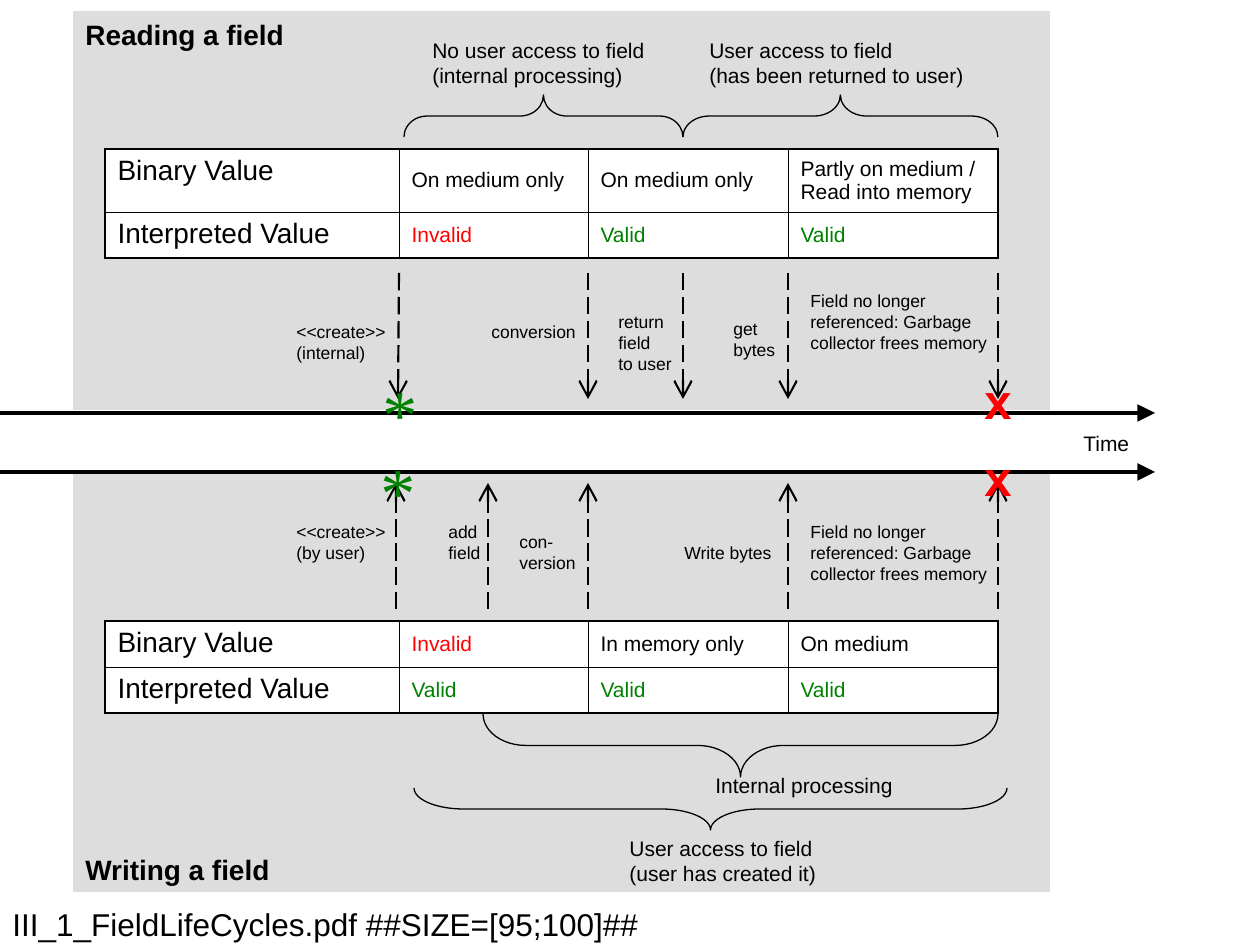
from lxml.etree import SubElement
from pptx import Presentation
from pptx.dml.color import RGBColor
from pptx.enum.dml import MSO_LINE
from pptx.enum.shapes import MSO_CONNECTOR, MSO_SHAPE
from pptx.enum.text import MSO_ANCHOR, PP_ALIGN
from pptx.oxml.ns import qn
from pptx.util import Pt

PX = 914400 / 126
BLACK = RGBColor(0x00, 0x00, 0x00)
WHITE = RGBColor(0xFF, 0xFF, 0xFF)
GREY = RGBColor(0xDD, 0xDD, 0xDD)
RED = RGBColor(0xFF, 0x00, 0x00)
GREEN = RGBColor(0x00, 0x80, 0x00)
STATE_COLORS = {"Invalid": RED, "Valid": GREEN}


def write(frame, text, size, color=BLACK, name="Arial", bold=False):
    paragraph = frame.paragraphs[0]
    paragraph.text = text
    paragraph.alignment = PP_ALIGN.LEFT
    for attribute, value in {"size": Pt(size), "name": name, "bold": bold}.items():
        setattr(paragraph.font, attribute, value)
    paragraph.font.color.rgb = color


def draw_arrow(x1, y1, x2, y2, weight, head, dash=None):
    ends = [round(v * PX) for v in (x1, y1, x2, y2)]
    arrow = slide.shapes.add_connector(MSO_CONNECTOR.STRAIGHT, *ends)
    arrow.line.color.rgb = BLACK
    arrow.line.width = Pt(weight)
    if dash:
        arrow.line.dash_style = dash
    properties = arrow._element.spPr
    SubElement(properties.find(qn("a:ln")), qn("a:tailEnd"),
               type=head, w="lg", len="lg")
    SubElement(properties, qn("a:effectLst"))


deck = Presentation()
deck.slide_width, deck.slide_height = round(1260 * PX), round(945 * PX)
slide = deck.slides.add_slide(deck.slide_layouts[6])

# Grey panels
for heading, top, height, anchor in (
    ("Writing a field", 473, 419, MSO_ANCHOR.BOTTOM),
    ("Reading a field", 11, 399, MSO_ANCHOR.TOP),
):
    box = [round(v * PX) for v in (73, top, 977, height)]
    panel = slide.shapes.add_shape(MSO_SHAPE.RECTANGLE, *box)
    panel.shadow.inherit = False
    panel.fill.solid()
    panel.fill.fore_color.rgb = GREY
    panel.line.fill.background()
    panel.text_frame.vertical_anchor = anchor
    write(panel.text_frame, heading, 16, bold=True)

# Value tables
COLUMNS = (294, 189, 200, 210)
for top, heights, rows in (
    (149, (63, 46), (
        ("Binary Value", "On medium only", "On medium only",
         "Partly on medium /\nRead into memory"),
        ("Interpreted Value", "Invalid", "Valid", "Valid"),
    )),
    (621, (46, 46), (
        ("Binary Value", "Invalid", "In memory only", "On medium"),
        ("Interpreted Value", "Valid", "Valid", "Valid"),
    )),
):
    box = [round(v * PX) for v in (105, top, sum(COLUMNS), sum(heights))]
    values = slide.shapes.add_table(len(rows), len(COLUMNS), *box).table
    values.first_row = values.horz_banding = False
    for column, width in zip(values.columns, COLUMNS):
        column.width = round(width * PX)
    for r, (row, height) in enumerate(zip(rows, heights)):
        values.rows[r].height = round(height * PX)
        for c, text in enumerate(row):
            cell = values.cell(r, c)
            outer_edges = {"a:lnL": c == 0, "a:lnR": c == len(row) - 1,
                           "a:lnT": r == 0, "a:lnB": r == len(rows) - 1}
            for tag, outer in outer_edges.items():
                border = SubElement(cell._tc.get_or_add_tcPr(), qn(tag),
                                    w=str(Pt(1.08 if outer else 0.45)))
                ink = SubElement(border, qn("a:solidFill"))
                SubElement(ink, qn("a:srgbClr"), val=str(BLACK))
            cell.fill.solid()
            cell.fill.fore_color.rgb = WHITE
            cell.vertical_anchor = MSO_ANCHOR.MIDDLE if c else MSO_ANCHOR.TOP
            write(cell.text_frame, text, 12 if c else 16,
                  STATE_COLORS.get(text, BLACK))

# Events pointing at the time axes
for start, end, event_xs in (
    (273, 399, ((399, 398), (588, 588), (683, 683), (788, 788), (998, 998))),
    (609, 483, ((396, 396), (488, 488), (588, 588), (788, 788), (998, 998))),
):
    for x1, x2 in event_xs:
        draw_arrow(x1, start, x2, end, 1.25, "arrow", MSO_LINE.LONG_DASH)
for y in (413, 472):
    draw_arrow(0, y, 1155, y, 2, "triangle")

# Braces, given by the area they cover once turned
for left, top, width, height, rotation in (
    (404, 95, 279, 42, 270),
    (683, 95, 315, 42, 270),
    (414, 788, 593, 42, 90),
    (483, 714, 515, 63, 90),
):
    offset = (width - height) / 2
    box = [round(v * PX) for v in (left + offset, top - offset, height, width)]
    brace = slide.shapes.add_shape(MSO_SHAPE.RIGHT_BRACE, *box)
    brace.rotation = rotation
    brace.adjustments[0] = width / height / 12
    brace.shadow.inherit = False
    brace.fill.background()
    brace.line.color.rgb = BLACK
    brace.line.width = Pt(0.75)

# Labels and life-cycle marks
SMALL = {"size": 10}
MEDIUM = {"size": 12}
CREATED = {"size": 40, "color": GREEN, "name": "Times New Roman"}
FREED = {"size": 28, "color": RED, "bold": True}
COLLECTED = "Field no longer\nreferenced: Garbage\ncollector frees memory"
for text, left, top, width, height, style in (
    ("No user access to field\n(internal processing)", 420, 31, 250, 63, MEDIUM),
    ("User access to field\n(has been returned to user)", 697, 31, 290, 63, MEDIUM),
    ("<<create>>\n(internal)", 284, 315, 120, 55, SMALL),
    ("conversion", 479, 315, 115, 34, SMALL),
    ("return\nfield\nto user", 606, 305, 90, 76, SMALL),
    ("get\nbytes", 721, 312, 72, 55, SMALL),
    (COLLECTED, 798, 284, 210, 76, SMALL),
    ("*", 370, 363, 54, 97, CREATED),
    ("x", 972, 364, 63, 72, FREED),
    ("Time", 1071, 424, 76, 38, MEDIUM),
    ("*", 368, 441, 54, 97, CREATED),
    ("x", 972, 441, 63, 72, FREED),
    ("<<create>>\n(by user)", 284, 515, 120, 55, SMALL),
    ("add\nfield", 436, 515, 62, 55, SMALL),
    ("con-\nversion", 507, 525, 86, 55, SMALL),
    ("Write bytes", 672, 536, 118, 34, SMALL),
    (COLLECTED, 798, 515, 210, 76, SMALL),
    ("Internal processing", 703, 766, 210, 38, MEDIUM),
    ("User access to field\n(user has created it)", 617, 829, 222, 63, MEDIUM),
    ("III_1_FieldLifeCycles.pdf ##SIZE=[95;100]##", 0, 899, 1260, 42, {"size": 18}),
):
    box = [round(v * PX) for v in (left, top, width, height)]
    label = slide.shapes.add_textbox(*box).text_frame
    label.word_wrap = False
    write(label, text, **style)

deck.save("out.pptx")
